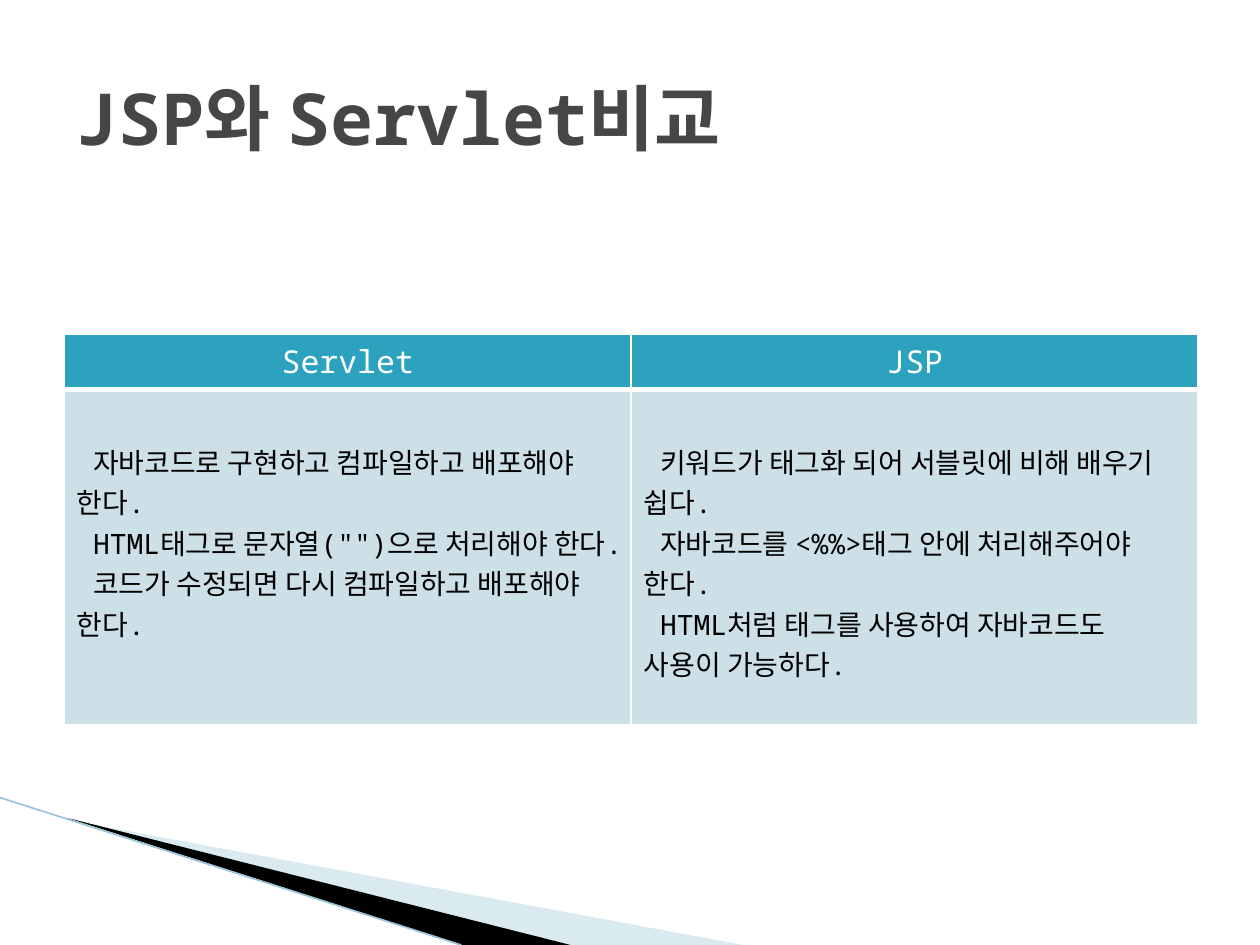
from lxml.etree import SubElement as Sub
from pptx import Presentation
from pptx.dml.color import RGBColor as Rgb
from pptx.enum.shapes import MSO_CONNECTOR as Conn
from pptx.enum.text import MSO_ANCHOR as Anchor, MSO_AUTO_SIZE as Auto, PP_ALIGN as Align
from pptx.oxml.ns import qn
from pptx.util import Inches, Pt

TITLE = "JSP와 Servlet비교"
COLS = {
    "Servlet": [
        "자바코드로 구현하고 컴파일하고 배포해야 한다.",
        "HTML태그로 문자열(\"\")으로 처리해야 한다.",
        "코드가 수정되면 다시 컴파일하고 배포해야 한다.",
    ],
    "JSP": [
        "키워드가 태그화 되어 서블릿에 비해 배우기 쉽다.",
        "자바코드를 <%%>태그 안에 처리해주어야 한다.",
        "HTML처럼 태그를 사용하여 자바코드도 사용이 가능하다.",
    ],
}
THEME = {
    "font": "Noto Sans Mono",
    "title": "464646", "head": "FFFFFF", "body": "000000",
    "bar": "2DA2BF", "cell": "CDE0E8", "rule": "FFFFFF",
    "pale": "A0CBDC", "dark": "000000", "edge": "97C5D8",
    "big": 41, "mid": 18, "small": 16,
}
# Corner wedges: colour, opacity in percent, corners
WEDGES = [
    ("pale", 40, [(0.55, 6.51), (5.9, 7.5), (4.53, 7.5)]),
    ("dark", 100, [(0.53, 6.49), (4.53, 7.5), (3.67, 7.5)]),
]
HEADS = [0.44, 2.66]


def tint(name):
    """Return a theme colour."""
    return Rgb.from_string(THEME[name])


def write(frame, lines, *, size, color, bold=False, align=Align.LEFT, indent=0):
    """Fill a text frame with one formatted paragraph per line."""
    for i, line in enumerate(lines):
        para = frame.add_paragraph() if i else frame.paragraphs[0]
        para.alignment = align
        if indent:
            para._p.get_or_add_pPr().set("indent", str(Inches(indent)))
        run = para.add_run()
        run.text = line
        font = run.font
        font.name, font.size, font.bold = THEME["font"], Pt(THEME[size]), bold
        font.color.rgb = tint(color)


def wedge(slide, color, alpha, dots):
    """Draw one filled wedge without outline."""
    dots = [(Inches(x), Inches(y)) for x, y in dots]
    pen = slide.shapes.build_freeform(*dots[0])
    pen.add_line_segments(dots[1:], close=True)
    shape = pen.convert_to_shape()
    shape.shadow.inherit = False
    shape.fill.solid()
    shape.fill.fore_color.rgb = tint(color)
    shape.line.fill.background()
    if alpha < 100:
        node = shape._element.spPr.find(f".//{qn('a:srgbClr')}")
        Sub(node, qn("a:alpha"), val=str(alpha * 1000))


def paint(cell, fill, **widths):
    """Set a cell's fill and border widths in points."""
    props = cell._tc.get_or_add_tcPr()
    for side in ("lnL", "lnR", "lnT", "lnB"):
        edge = Sub(props, qn(f"a:{side}"), w=str(Pt(widths.get(side, 1))))
        Sub(Sub(edge, qn("a:solidFill")), qn("a:srgbClr"), val=THEME["rule"])
    cell.fill.solid()
    cell.fill.fore_color.rgb = tint(fill)


def compare(slide):
    """Add the table with one column per topic."""
    shape = slide.shapes.add_table(
        2, len(COLS), Inches(0.51), Inches(2.65), Inches(9), Inches(sum(HEADS)))
    table = shape.table
    for row, high in zip(table.rows, HEADS):
        row.height = Inches(high)
    for i, (name, lines) in enumerate(COLS.items()):
        head, body = table.cell(0, i), table.cell(1, i)
        paint(head, "bar", lnB=3)
        paint(body, "cell", lnT=3)
        write(head.text_frame, [name], size="mid", color="head", align=Align.CENTER)
        body.margin_top = Inches(0.41)
        write(body.text_frame, lines, size="small", color="body", indent=0.13)


deck = Presentation()
deck.slide_width, deck.slide_height = Inches(10), Inches(7.5)
slide = deck.slides.add_slide(deck.slide_layouts[5])

for item in WEDGES:
    wedge(slide, *item)
line = slide.shapes.add_connector(
    Conn.STRAIGHT, Inches(0), Inches(6.33), Inches(3.66), Inches(7.5))
line.line.color.rgb = tint("edge")
line.line.width = Pt(0.95)
Sub(line._element.spPr, qn("a:effectLst"))

title = slide.shapes.title
title.left, title.top = Inches(0.5), Inches(0.3)
title.width, title.height = Inches(9), Inches(1.25)
title.text_frame.auto_size = Auto.NONE
title.text_frame.vertical_anchor = Anchor.MIDDLE
write(title.text_frame, [TITLE], size="big", color="title", bold=True)

compare(slide)
deck.save("out.pptx")
